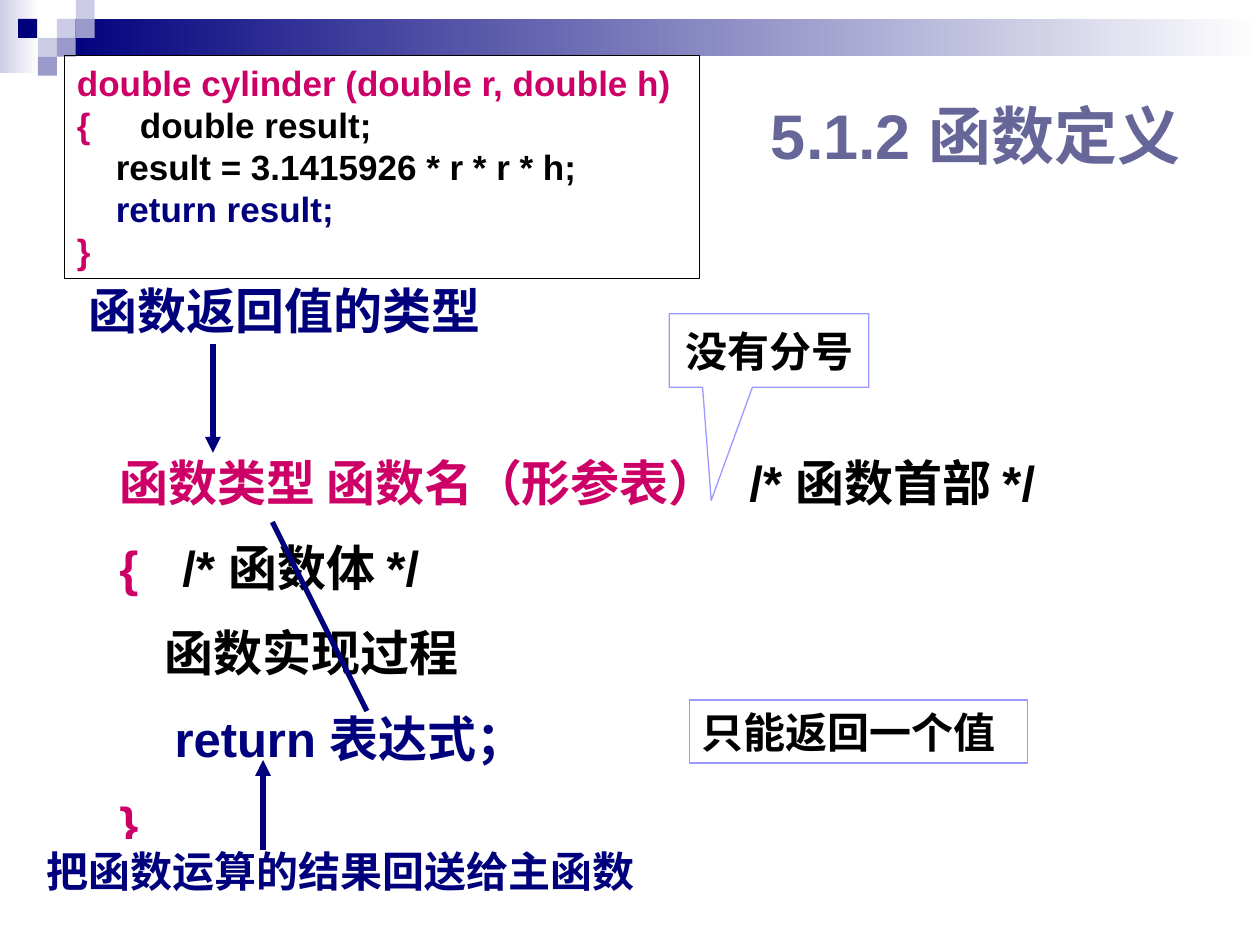
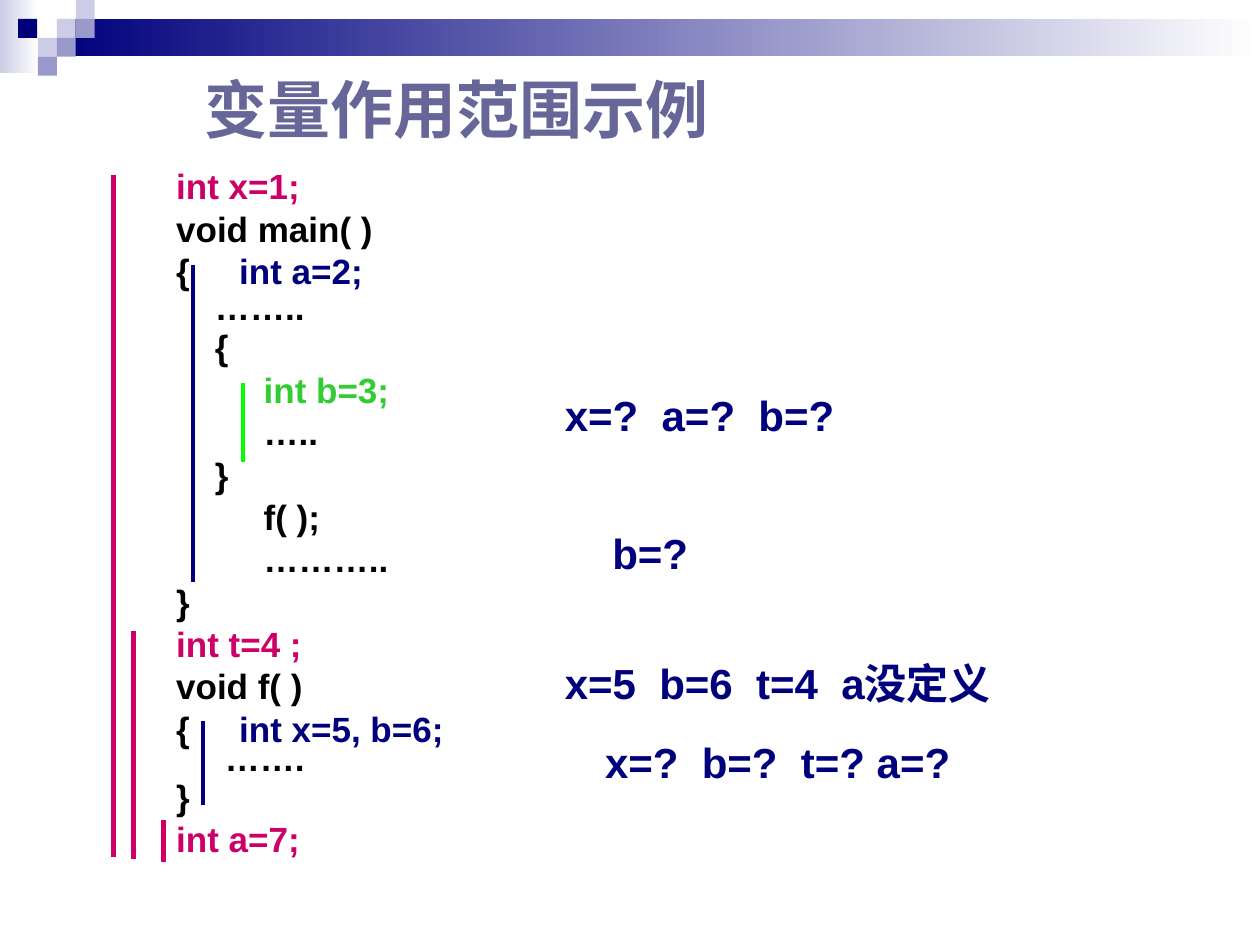
"""Build two slides on defining functions and on the scope of variables."""
from lxml import etree
from pptx import Presentation
from pptx.dml import color
from pptx.enum import shapes, text
from pptx.oxml import ns
from pptx.util import Pt

NAVY, PINK, BLACK, WHITE = "00007D", "CC0066", "000000", "FFFFFF"
SLATE, PALE, LILAC, EDGE = "666699", "CCCCE6", "9999CC", "9999FF"
GREEN, LIME = "33CC33", "00FF00"
RECT = shapes.MSO_SHAPE.RECTANGLE
CALLOUT = shapes.MSO_SHAPE.RECTANGULAR_CALLOUT
hex_color = color.RGBColor.from_string


def add_box(slide, at, paragraphs=(), size=24, fill=None, edge=None, before=0,
            middle=False, center=False, font="Arial", kind=RECT):
    """Add a shape whose paragraphs are (margin, tab, line spacing, runs)."""
    box = slide.shapes.add_shape(kind, *map(Pt, at))
    box.shadow.inherit = False
    if fill:
        box.fill.solid()
        box.fill.fore_color.rgb = hex_color(fill)
    else:
        box.fill.background()
    if edge:
        box.line.color.rgb = hex_color(edge)
        box.line.width = Pt(0.75)
    else:
        box.line.fill.background()
    frame = box.text_frame
    frame.word_wrap = True
    frame.vertical_anchor = text.MSO_ANCHOR.MIDDLE if middle else text.MSO_ANCHOR.TOP
    for number, (margin, tab, spacing, runs) in enumerate(paragraphs):
        paragraph = frame.add_paragraph() if number else frame.paragraphs[0]
        paragraph.alignment = text.PP_ALIGN.CENTER if center else text.PP_ALIGN.LEFT
        paragraph.line_spacing = spacing
        paragraph.space_before = Pt(before)
        properties = paragraph._p.get_or_add_pPr()
        properties.set("marL", str(Pt(margin)))
        properties.set("indent", "0")
        if tab:
            stops = etree.SubElement(properties, ns.qn("a:tabLst"))
            etree.SubElement(stops, ns.qn("a:tab"), pos=str(Pt(tab)), algn="l")
        for words, ink in runs:
            run = paragraph.add_run()
            run.text = words
            run.font.name = font
            run.font.size = Pt(size)
            run.font.bold = True
            run.font.color.rgb = hex_color(ink)
    return box


def add_line(slide, start, end, ink, width=3, arrow=False):
    """Add a straight line, with an arrowhead at its end if asked."""
    line = slide.shapes.add_connector(
        shapes.MSO_CONNECTOR.STRAIGHT, *map(Pt, start + end))
    line.line.color.rgb = hex_color(ink)
    line.line.width = Pt(width)
    properties = line._element.spPr
    if arrow:
        etree.SubElement(properties.find(ns.qn("a:ln")), ns.qn("a:tailEnd"), type="triangle")
    etree.SubElement(properties, ns.qn("a:effectLst"))


deck = Presentation()
deck.slide_width, deck.slide_height = Pt(720), Pt(540)

bands = [((0, 0, 22, 42), PALE), ((32.5, 10.8, 687.5, 21.4), NAVY)]
tiles = [(32.5, 10.8, PALE), (43.3, 0, PALE), (43.3, 10.8, LILAC),
         (21.7, 21.6, PALE), (10.4, 10.8, NAVY), (32.5, 21.6, LILAC),
         (21.7, 32.4, LILAC)]
titles = [("5.1.2 函数定义", (433.5, 37.5, 272, 79)),
          ("变量作用范围示例", (110, 31.7, 315.5, 60))]

for title, place in titles:
    slide = deck.slides.add_slide(deck.slide_layouts[6])
    for at, tint in bands:
        band = add_box(slide, at)
        band.fill.gradient()
        band.fill.gradient_angle = 180
        for stop, ink in zip(band.fill.gradient_stops, (WHITE, tint)):
            stop.color.rgb = hex_color(ink)
    for left, top, tint in tiles:
        add_box(slide, (left, top, 10.8, 10.8), fill=tint)
    add_box(slide, place, [(0, 0, 1, [(title, SLATE)])], size=36, middle=True)

definition, scope = deck.slides

syntax = [
    (36, 383, 1.24, [("函数类型 函数名（形参表）\t", PINK), ("/* 函数首部 */", BLACK)]),
    (36, 394, 1.24, [("{\t", PINK), ("/* 函数体 */", BLACK)]),
    (62, 0, 1.24, [("函数实现过程", BLACK)]),
    (67.5, 0, 1.24, [("return 表达式；", NAVY)]),
    (36, 0, 1.24, [("}", PINK)]),
]
add_box(definition, (25.2, 247, 674.6, 278), syntax, size=28, before=7)
add_line(definition, (155.7, 298.3), (209.7, 406.3), NAVY)
add_box(definition, (19.6, 479.5, 363, 36),
        [(0, 0, 1, [("把函数运算的结果回送给主函数", NAVY)])], fill=WHITE)
add_box(definition, (394, 400, 193, 36), [(0, 0, 1, [("只能返回一个值", BLACK)])],
        fill=WHITE, edge=EDGE, font="Times New Roman")
add_line(definition, (121.7, 196.3), (121.7, 258.7), NAVY, arrow=True)
add_box(definition, (43.5, 157, 245, 41),
        [(0, 0, 1, [("函数返回值的类型", NAVY)])], size=28)
no_semicolon = add_box(definition, (382.5, 179.3, 114, 42),
                       [(0, 0, 1, [("没有分号", BLACK)])], fill=WHITE, edge=EDGE,
                       middle=True, center=True, kind=CALLOUT)
no_semicolon.adjustments[0] = -0.29
no_semicolon.adjustments[1] = 2.04

cylinder = [
    (0, 0, 1, [("double cylinder (double r, double h)", PINK)]),
    (0, 24.5, 1, [("{\t", PINK), ("double result;", BLACK)]),
    (22.2, 0, 1, [("result = 3.1415926 * r * r * h;", BLACK)]),
    (22.2, 0, 1, [("return result;", NAVY)]),
    (0, 0, 1, [("}", PINK)]),
]
add_box(definition, (36.9, 31.7, 363, 127.5), cylinder, size=20, edge=BLACK)
add_line(definition, (150.3, 485.5), (150.3, 434.3), NAVY, arrow=True)

program = [
    (0, 0, 0.9, [("int x=1;", PINK)]),
    (0, 0, 0.8, [("void main( )", BLACK)]),
    (0, 24.5, 0.8, [("{\t", BLACK), ("int a=2;", NAVY)]),
    (22.2, 0, 0.6, [("……..", BLACK)]),
    (22.2, 0, 0.8, [("{", BLACK)]),
    (50, 0, 0.8, [("int b=3;", GREEN)]),
    (50, 0, 0.8, [("…..", BLACK)]),
    (22.2, 0, 0.8, [("}", BLACK)]),
    (50, 0, 0.8, [("f( );", BLACK)]),
    (50, 0, 0.8, [("………..", BLACK)]),
    (0, 0, 0.8, [("}", BLACK)]),
    (0, 0, 0.8, [("int t=4 ;", PINK)]),
    (0, 0, 0.8, [("void f( )", BLACK)]),
    (0, 24.5, 0.8, [("{\t", BLACK), ("int x=5, b=6;", NAVY)]),
    (27.8, 0, 0.4, [("…….", BLACK)]),
    (0, 0, 0.8, [("}", BLACK)]),
    (0, 0, 0.8, [("int a=7;", PINK)]),
]
add_box(scope, (93.6, 93, 493, 432), program, size=20, before=5)

questions = [
    ("x=?  a=?  b=?", 309, 219, 209.5, 6.7),
    ("b=?", 342.8, 298, 60, 0),
    ("x=5  b=6  t=4  a没定义", 309, 372.3, 315.5, 6.7),
    ("x=?  b=?  t=? a=?", 332, 417.6, 221, 6.7),
]
for question, left, top, width, margin in questions:
    add_box(scope, (left, top, width, 36), [(margin, 0, 1, [(question, NAVY)])], fill=WHITE)

lifetimes = [
    (65, 100, 489.6, PINK, 3), (93.6, 468.7, 492.5, PINK, 3),
    (110.3, 151.2, 332.5, NAVY, 2.25), (139, 219, 264.3, LIME, 2.25),
    (76.5, 360.7, 491, PINK, 3), (116, 411.8, 460, NAVY, 2.25),
]
for x, top, bottom, ink, width in lifetimes:
    add_line(scope, (x, top), (x, bottom), ink, width)

deck.save("out.pptx")
